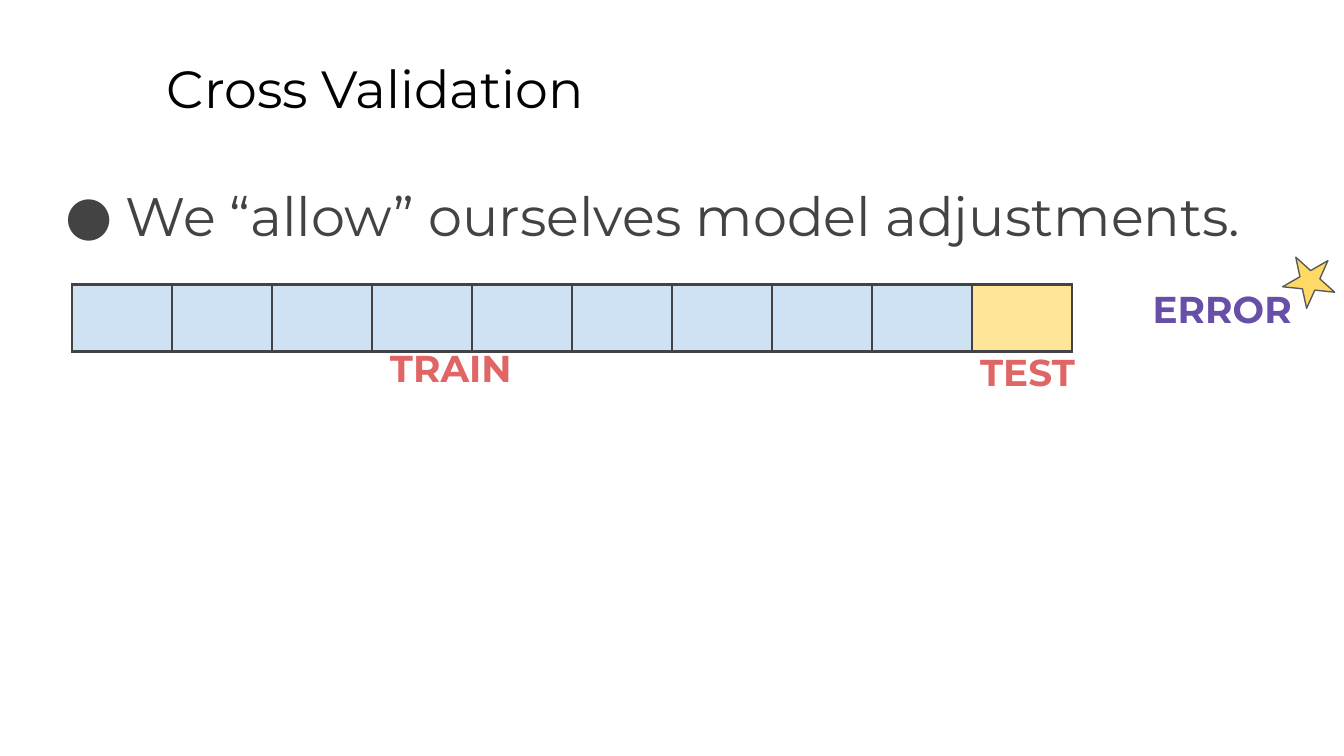
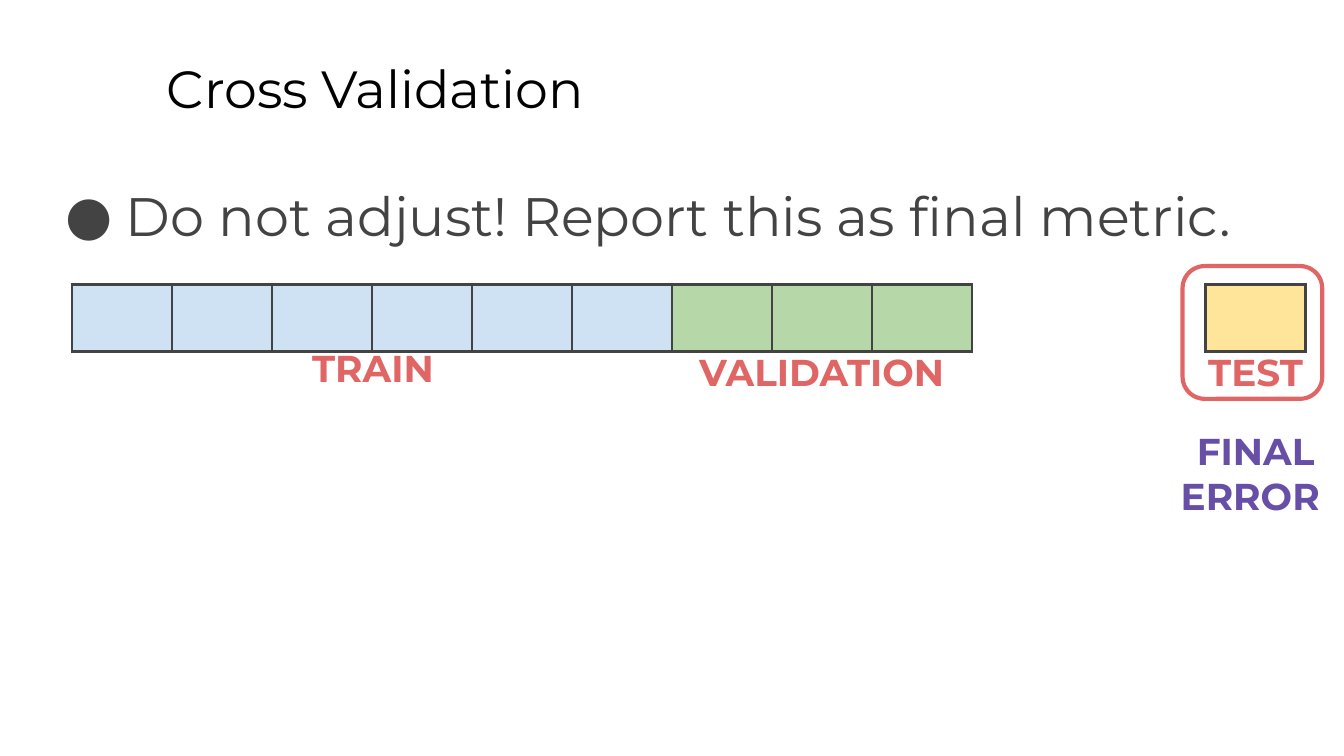
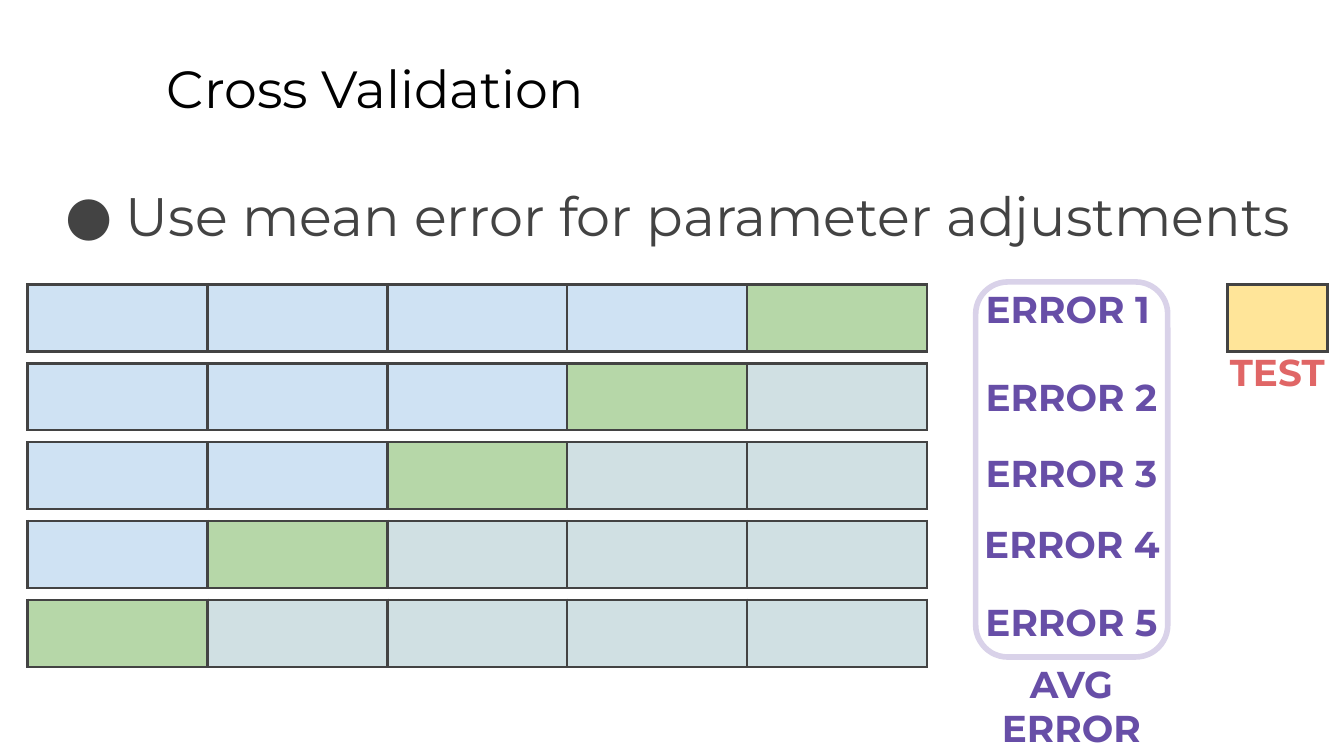
from lxml.etree import SubElement
from pptx import Presentation
from pptx.dml.color import RGBColor
from pptx.enum.shapes import MSO_SHAPE as SHAPE
from pptx.enum.text import PP_ALIGN as ALIGN
from pptx.oxml.ns import qn
from pptx.util import Cm, Pt

FONT = "Montserrat"
BLACK, DARK, GREY = "000000", "434343", "595959"
RED, PURPLE, LILAC = "E06666", "674EA7", "D9D2E9"
TRAIN, VALID, TEST, UNUSED = "CFE2F3", "B6D7A8", "FFE599", "D0E0E3"
STAR = "FFD966"

ROW_TOP, ROW_STEP = 5.38, 1.49
NARROW, WIDE = 1.89, 3.4
LABEL_WIDTH, LABEL_HEIGHT = 3.78, 1.6
FOLDS = 5

rgb = RGBColor.from_string


def add_text(slide, text, left, top, width=LABEL_WIDTH, height=LABEL_HEIGHT,
             size=20, color=RED, bold=False, align=ALIGN.LEFT, bullet=None):
    """Add a text box, one paragraph per line of text; lengths in cm."""
    box = slide.shapes.add_textbox(Cm(left), Cm(top), Cm(width), Cm(height))
    frame = box.text_frame
    frame.word_wrap = True
    frame.margin_left = frame.margin_right = Cm(0.25)
    frame.margin_top = frame.margin_bottom = Cm(0.25)
    frame.text = text
    for paragraph in frame.paragraphs:
        paragraph.alignment = align
        font = paragraph.runs[0].font
        font.name, font.size, font.bold = FONT, Pt(size), bold
        font.color.rgb = rgb(color)
        if bullet:
            props = paragraph._p.get_or_add_pPr()
            props.set("marL", str(Cm(1.27)))
            props.set("indent", str(-Cm(1.15)))
            tint = SubElement(props, qn("a:buClr"))
            SubElement(tint, qn("a:srgbClr"), val=color)
            SubElement(props, qn("a:buFont"), typeface=FONT)
            SubElement(props, qn("a:buChar"), char=bullet)


def add_data_row(slide, left, top, cell_width, fills):
    """Add a one-row table of coloured data blocks; lengths in cm."""
    table = slide.shapes.add_table(1, len(fills), Cm(left), Cm(top),
                                   Cm(cell_width * len(fills)), Cm(1.09)).table
    table.first_row = table.horz_banding = False
    for column, fill in enumerate(fills):
        table.columns[column].width = Cm(cell_width)
        cell = table.cell(0, column)
        cell.margin_left = cell.margin_right = Cm(0.25)
        cell.margin_top = cell.margin_bottom = Cm(0.25)
        props = cell._tc.get_or_add_tcPr()
        for side in ("a:lnL", "a:lnR", "a:lnT", "a:lnB"):
            border = SubElement(props, qn(side), w=str(Pt(1.5)))
            paint = SubElement(border, qn("a:solidFill"))
            SubElement(paint, qn("a:srgbClr"), val=DARK)
        cell.fill.solid()
        cell.fill.fore_color.rgb = rgb(fill)


# Each fold validates on one block, one further left every time
fold_rows = [
    (0.52, ROW_TOP + ROW_STEP * fold, WIDE,
     [TRAIN] * (FOLDS - 1 - fold) + [VALID] + [UNUSED] * fold)
    for fold in range(FOLDS)
]
error_places = [(18.29, 5.16, 3.78), (18.36, 6.83, 3.78), (18.36, 8.26, 3.78),
                (18.24, 9.6, 4.04), (18.36, 11.07, 3.78)]
error_labels = [
    (f"ERROR {number}", left, top, width, PURPLE)
    for number, (left, top, width) in enumerate(error_places, 1)
]

# rows: left, top, cell width, fills
# labels: text, left, top, width, colour
# accents: shape, left, top, width, height, rotation, fill, line, line width
steps = [
    dict(
        message="We “allow” ourselves model adjustments.",
        rows=[(1.36, ROW_TOP, NARROW, [TRAIN] * 9 + [TEST])],
        labels=[("TRAIN", 6.63, 6.27, LABEL_WIDTH, RED),
                ("TEST", 17.53, 6.35, LABEL_WIDTH, RED),
                ("ERROR ", 21.31, 5.16, LABEL_WIDTH, PURPLE)],
        accents=[(SHAPE.STAR_5_POINT, 24.23, 4.8, 0.99, 0.94, 330,
                  STAR, GREY, 0.75)],
    ),
    dict(
        message="Do not adjust! Report this as final metric.",
        rows=[(1.36, ROW_TOP, NARROW, [TRAIN] * 6 + [VALID] * 3),
              (22.78, ROW_TOP, NARROW, [TEST])],
        labels=[("TRAIN", 5.16, 6.27, LABEL_WIDTH, RED),
                ("TEST", 21.84, 6.35, LABEL_WIDTH, RED),
                ("VALIDATION", 12.7, 6.35, 5.66, RED),
                ("FINAL\nERROR ", 21.84, 7.85, LABEL_WIDTH, PURPLE)],
        accents=[(SHAPE.ROUNDED_RECTANGLE, 22.35, 5.03, 2.64, 2.51, 0,
                  None, RED, 2.25)],
    ),
    dict(
        message="Use mean error for parameter adjustments",
        rows=[(23.2, ROW_TOP, NARROW, [TEST])] + fold_rows,
        labels=[("TEST", 22.25, 6.35, LABEL_WIDTH, RED)] + error_labels
        + [("AVG ERROR", 18.36, 12.24, LABEL_WIDTH, PURPLE)],
        accents=[(SHAPE.ROUNDED_RECTANGLE, 18.44, 5.33, 3.63, 7.09, 0,
                  None, LILAC, 3)],
    ),
]

deck = Presentation()
deck.slide_width, deck.slide_height = Cm(25.4), Cm(14.29)

for step in steps:
    slide = deck.slides.add_slide(deck.slide_layouts[6])
    add_text(slide, "Cross Validation", 2.9, 0.81, 21.64, size=28, color=BLACK)
    add_text(slide, step["message"], 0.86, 3.2, 24.13, 2.18,
             size=29, color=DARK, bullet="●")
    for row in step["rows"]:
        add_data_row(slide, *row)
    for text, left, top, width, color in step["labels"]:
        add_text(slide, text, left, top, width, color=color,
                 bold=True, align=ALIGN.CENTER)
    for kind, left, top, width, height, turn, fill, line, weight in step["accents"]:
        accent = slide.shapes.add_shape(kind, Cm(left), Cm(top),
                                        Cm(width), Cm(height))
        accent.shadow.inherit = False
        accent.rotation = turn
        accent.line.color.rgb = rgb(line)
        accent.line.width = Pt(weight)
        if fill:
            accent.fill.solid()
            accent.fill.fore_color.rgb = rgb(fill)
        else:
            accent.fill.background()

deck.save("out.pptx")
